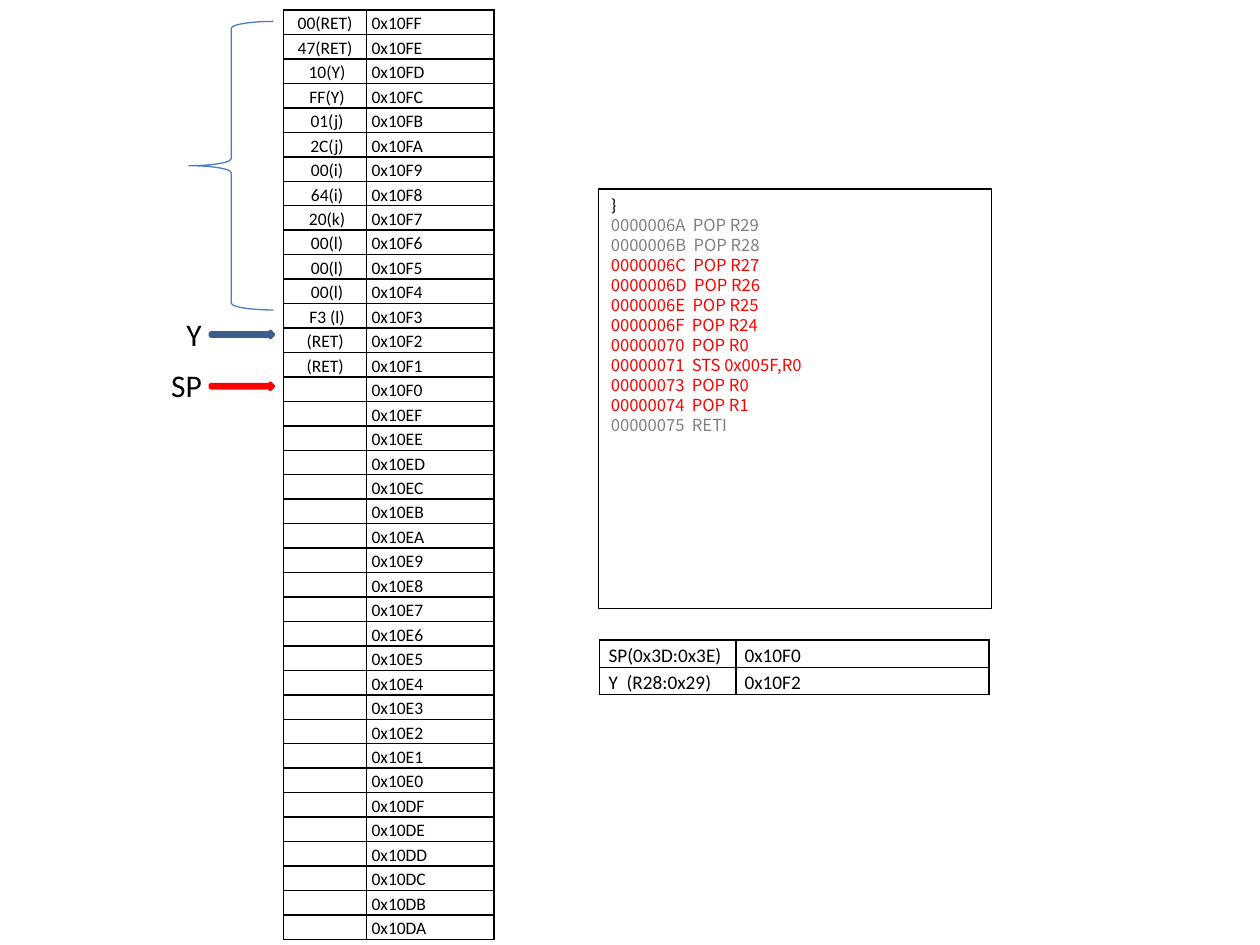
import pptx
import pptx.dml.color
import pptx.enum.shapes
import pptx.enum.text
import pptx.oxml
import pptx.oxml.ns
import pptx.util
from lxml import etree
from pptx.util import Inches

COLORS = {
    "black": "000000", "white": "FFFFFF", "gray": "808080", "red": "FF0000",
    "blue": "4F81BD", "dark blue": "3A5F8C", "brace": "4B7EBC",
}
SHAPES = pptx.enum.shapes.MSO_SHAPE
CENTER = pptx.enum.text.PP_ALIGN.CENTER
LEFT = pptx.enum.text.PP_ALIGN.LEFT

TOP_ADDRESS = 0x10FF
STACK_ROWS = 38
STACK_VALUES = [
    "00(RET)", "47(RET)", " 10(Y)", " FF(Y)", " 01(j)", " 2C(j)", " 00(i)",
    " 64(i)", " 20(k)", " 00(l)", " 00(l)", " 00(l)", " F3 (l)", "(RET)", "(RET)",
]
REGISTERS = [("SP(0x3D:0x3E)", "0x10F0"), ("Y  (R28:0x29)", "0x10F2")]
CODE = [
    ("0000006A  POP R29", "gray"),
    ("0000006B  POP R28", "gray"),
    ("0000006C  POP R27", "red"),
    ("0000006D  POP R26", "red"),
    ("0000006E  POP R25", "red"),
    ("0000006F  POP R24", "red"),
    ("00000070  POP R0", "red"),
    ("00000071  STS 0x005F,R0", "red"),
    ("00000073  POP R0", "red"),
    ("00000074  POP R1", "red"),
    ("00000075  RETI", "gray"),
]
# label, label left, label width, arrow top, line colour
POINTERS = [("Y", 1.38, 0.25, 2.63, "dark blue"), ("SP", 1.26, 0.45, 3.04, "red")]


def rgb(name):
    return pptx.dml.color.RGBColor.from_string(COLORS[name])


def set_values(target, values):
    for name, value in values.items():
        setattr(target, name, value)


def write(para, text, size, color="black", font="Calibri", **layout):
    set_values(para, layout)
    if not text:
        # An empty paragraph keeps its height through its end mark
        end = etree.SubElement(para._p, pptx.oxml.ns.qn("a:endParaRPr"))
        end.set("sz", str(size * 100))
        return
    span = para.add_run()
    span.text = text
    set_values(span.font, {"size": pptx.util.Pt(size), "name": font})
    span.font.color.rgb = rgb(color)


def add_borders(cell):
    properties = cell._tc.get_or_add_tcPr()
    for index, side in enumerate(("lnL", "lnR", "lnT", "lnB")):
        properties.insert(index, pptx.oxml.parse_xml(
            f'<a:{side} {pptx.oxml.ns.nsdecls("a")} w="12700"><a:solidFill>'
            f'<a:srgbClr val="{COLORS["black"]}"/></a:solidFill></a:{side}>'))


def add_grid(page, rows, left, top, widths, row_height, size, margin, aligns):
    frame = page.shapes.add_table(
        len(rows), len(widths), Inches(left), Inches(top),
        Inches(sum(widths)), Inches(row_height * len(rows)))
    table = frame.table
    set_values(table, {"first_row": False, "horz_banding": False})
    for column, width in zip(table.columns, widths):
        column.width = Inches(width)
    cell_format = {"margin_left": Inches(margin), "margin_right": Inches(margin),
                   "margin_top": 0, "margin_bottom": 0}
    for row, texts in zip(table.rows, rows):
        row.height = Inches(row_height)
        for cell, text, align in zip(row.cells, texts, aligns):
            set_values(cell, cell_format)
            cell.fill.background()
            add_borders(cell)
            write(cell.text_frame.paragraphs[0], text, size,
                  alignment=align, line_spacing=1.15)


def add_figure(page, kind, place, line, weight, fill=None):
    shape = page.shapes.add_shape(kind, *map(Inches, place))
    shape.shadow.inherit = False
    if fill:
        shape.fill.solid()
        shape.fill.fore_color.rgb = rgb(fill)
    else:
        shape.fill.background()
    shape.line.color.rgb = rgb(line)
    shape.line.width = pptx.util.Pt(weight)
    return shape


def add_code(page):
    box = add_figure(page, SHAPES.RECTANGLE, (4.75, 1.5, 3.12, 3.33),
                     "black", 0.75, "white")
    frame = box.text_frame
    set_values(frame, {"word_wrap": True,
                       "vertical_anchor": pptx.enum.text.MSO_ANCHOR.TOP})
    layout = {"alignment": LEFT, "line_spacing": pptx.util.Pt(11.4)}
    write(frame.paragraphs[0], "}", 10, **layout)
    for text, color in CODE:
        write(frame.add_paragraph(), text, 9.5, color, "Noto Sans CJK SC", **layout)


def add_pointer(page, label, left, width, top, line):
    add_figure(page, SHAPES.RIGHT_ARROW, (1.67, top, 0.5, 0.05), line, 2, "blue")
    box = page.shapes.add_textbox(
        Inches(left), Inches(top - 0.18), Inches(width), Inches(0.4))
    box.text_frame.word_wrap = True
    write(box.text_frame.paragraphs[0], label, 18)


def main():
    deck = pptx.Presentation()
    set_values(deck, {"slide_width": Inches(10), "slide_height": Inches(7.5)})
    page = deck.slides.add_slide(deck.slide_layouts[6])

    # Stack memory, from the highest address down
    values = STACK_VALUES + [""] * (STACK_ROWS - len(STACK_VALUES))
    stack = [(value, f"0x{TOP_ADDRESS - offset:04X}")
             for offset, value in enumerate(values)]
    add_grid(page, stack, 2.25, 0.08, (0.66, 1.01), 0.19, 10, 0.04, (CENTER, LEFT))

    # Pointer registers and the code that runs
    add_grid(page, REGISTERS, 4.76, 5.08, (1.08, 2.01), 0.21, 11, 0.07, (LEFT, LEFT))
    add_code(page)

    # Marks beside the stack
    for pointer in POINTERS:
        add_pointer(page, *pointer)
    add_figure(page, SHAPES.LEFT_BRACE, (1.5, 0.17, 0.67, 2.29), "brace", 0.75)

    deck.save("out.pptx")


if __name__ == "__main__":
    main()
